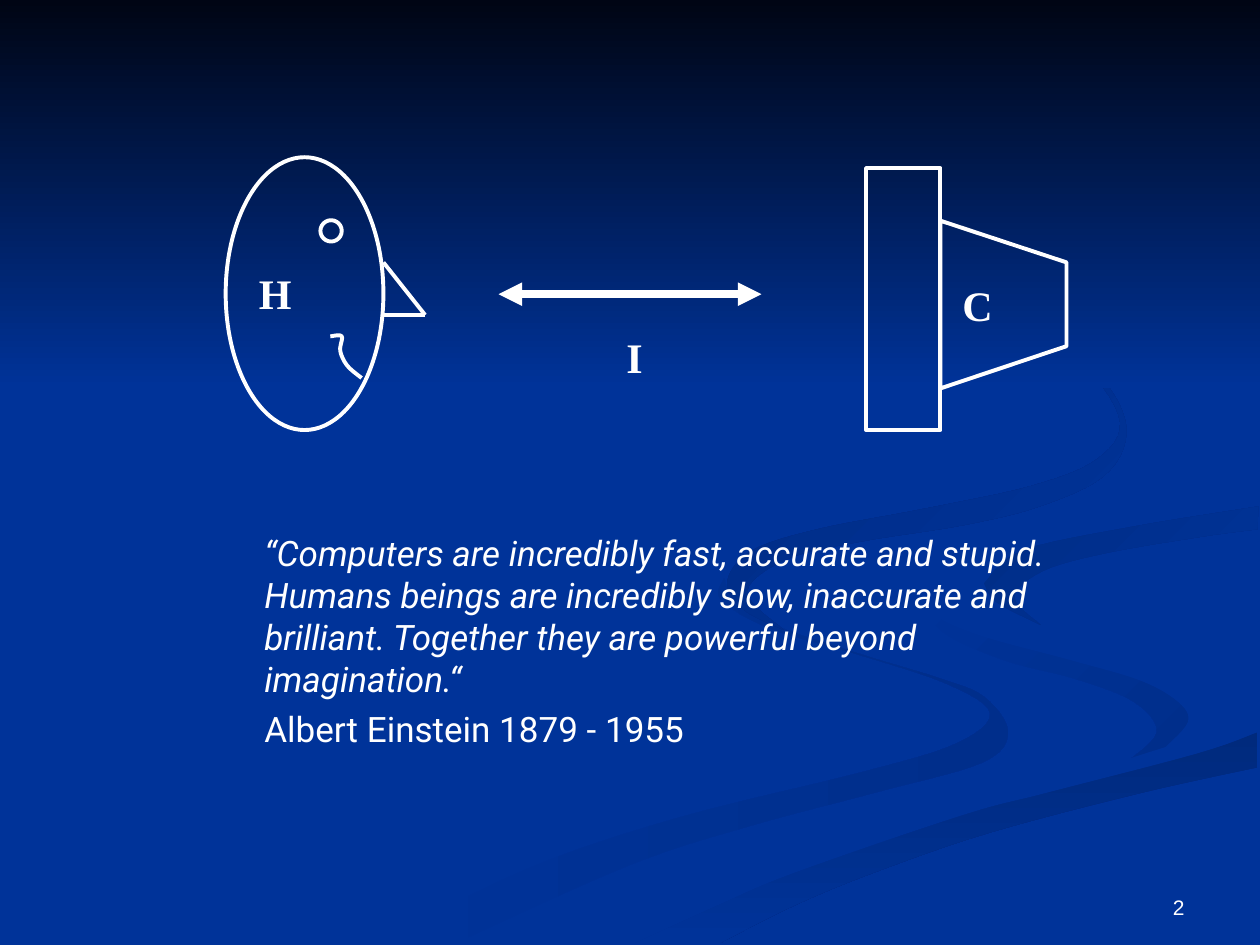
import pptx
import pptx.dml.color
import pptx.enum.shapes
import pptx.enum.text
import pptx.oxml
import pptx.oxml.ns
import pptx.util

Cm, Pt = pptx.util.Cm, pptx.util.Pt
RGB = pptx.dml.color.RGBColor
Shape = pptx.enum.shapes.MSO_SHAPE

WHITE = RGB(0xFF, 0xFF, 0xFF)
BLUE = RGB(0x00, 0x33, 0x99)
NIGHT = RGB(0x00, 0x05, 0x14)
SHADE_LIGHT = RGB(0x00, 0x2E, 0x8B)
SHADE_BAY = RGB(0x00, 0x2D, 0x86)
SHADE_TOP = RGB(0x00, 0x2B, 0x82)
SHADE_DARK = RGB(0x00, 0x2A, 0x7D)
LINE, ARROW_LINE = Pt(2.25), Pt(4.5)
WIDTH, HEIGHT = 25.4, 19.05  # slide size in cm; all positions below are in cm

# Edges of the ribbons: a smooth curve runs through each list of anchors
SWIRL_OUTER = [(14.6, 11.66), (14.81, 12.12), (15.6, 12.6), (17.32, 13.18), (18.92, 13.67),
               (19.84, 14.05), (20.32, 14.76), (19.81, 15.37), (17.75, 15.95),
               (15.09, 16.66), (12.67, 17.45), (9.17, 19.02)]
SWIRL_INNER = [(14.6, 11.66), (14.53, 12.09), (15.52, 12.67), (17.25, 13.18), (19.1, 13.79),
               (19.96, 14.38), (19.28, 14.99), (17.37, 15.57), (13.69, 16.48),
               (10.59, 17.53), (7.62, 19.02)]
BEND_OUTER = [(18.39, 11.79), (18.62, 12.27), (19.66, 12.78), (21.59, 13.31), (22.99, 13.72),
              (23.75, 14.15), (23.95, 14.55), (23.5, 15.06), (22.71, 15.37)]
BEND_INNER = [(18.39, 11.79), (18.95, 12.7), (20.24, 13.31), (21.69, 13.69),
              (22.86, 14.15), (23.32, 14.76), (22.71, 15.37)]
STREAM_UPPER = [(25.35, 14.76), (24.13, 15.19), (21.11, 15.98), (19.41, 16.43),
                (16, 17.6), (14.45, 18.26), (12.78, 19.02)]
STREAM_LOWER = [(25.35, 15.47), (22.94, 16), (19.94, 16.79), (17.65, 17.58),
                (16, 18.26), (14.5, 19.02)]
BAY_OUTER = [(25.37, 9.83), (23.37, 10.19), (21.08, 10.54), (19.18, 10.97), (18.39, 11.79)]
BAY_INNER = [(25.37, 10.21), (22.83, 10.62), (20.6, 11.1), (19.84, 11.76),
             (20.42, 12.32), (22, 12.93), (23.9, 13.39), (25.37, 13.67)]
BAY_TAIL = [(23.5, 15.06), (21.41, 15.7), (18.87, 16.33), (15.72, 17.37), (12.12, 19.02)]
WAVE_TIP = [(19.84, 11.76), (20.09, 12.14), (20.98, 12.6)]
WAVE_INNER = [(20.98, 12.6), (20.45, 12.04), (21.03, 11.51), (22.3, 11.15),
              (24.23, 10.82), (25.35, 10.67)]
HOOK_OUTER = [(19.35, 5.92), (20.29, 6.35), (21.41, 6.99), (22.35, 7.8), (22.71, 8.74),
              (22.25, 9.6), (20.96, 10.21), (19.41, 10.59), (17.35, 10.92),
              (15.85, 11.28), (15.06, 11.94), (15.8, 12.7)]
HOOK_INNER = [(19.35, 5.92), (20.45, 6.45), (21.89, 7.42), (22.58, 8.51), (22.1, 9.27),
              (20.78, 9.8), (18.62, 10.26), (16.48, 10.67), (15.16, 11.1),
              (14.66, 11.73), (14.99, 12.29), (15.8, 12.7)]
# Ribbons from back to front: edges in turn, first and last colour, clockwise angle
RIBBONS = [
    ([SWIRL_OUTER, SWIRL_INNER[::-1]], BLUE, SHADE_LIGHT, 0),
    ([BEND_OUTER, BEND_INNER[::-1]], BLUE, SHADE_LIGHT, 45),
    ([STREAM_UPPER, STREAM_LOWER[::-1]], SHADE_DARK, BLUE, 90),
    ([BAY_OUTER, BEND_OUTER[:-1], BAY_TAIL, STREAM_UPPER[::-1], BAY_INNER[::-1]],
     BLUE, BLUE, 0),
    ([BAY_INNER[:4], WAVE_TIP, WAVE_INNER], SHADE_BAY, BLUE, 45),
    ([HOOK_OUTER, HOOK_INNER[::-1]], SHADE_TOP, BLUE, 45),
]
MOUTH = [(2.74, 4.45), (2.45, 4.2), (2.31, 3.9), (2.34, 3.61), (2.11, 3.61)]
QUOTE = ("“Computers are incredibly fast, accurate and stupid. Humans beings are incredibly "
         "slow, inaccurate and brilliant. Together they are powerful beyond imagination.“")


def smooth(anchors, steps=6):
    """Return points on a Catmull-Rom curve through the anchors."""
    padded = [anchors[0], *anchors, anchors[-1]]
    curve = [anchors[0]]
    for a, b, c, d in zip(padded, padded[1:], padded[2:], padded[3:]):
        for i in range(1, steps + 1):
            t = i / steps
            curve.append(tuple(
                q + t / 2 * (r - p + t * (2 * p - 5 * q + 4 * r - s
                                          + t * (3 * q - p - 3 * r + s)))
                for p, q, r, s in zip(a, b, c, d)))
    return curve


# Shared drawing helpers
def paint(sp, first, last, angle):
    sp.shadow.inherit = False
    sp.line.fill.background()
    if first == last:
        sp.fill.solid()
        sp.fill.fore_color.rgb = first
        return
    sp.fill.gradient()
    sp.fill.gradient_angle = (360 - angle) % 360
    for stop, color in zip(sp.fill.gradient_stops, (first, last)):
        stop.color.rgb = color


def outline(sp):
    sp.shadow.inherit = False
    sp.fill.background()
    sp.line.color.rgb = WHITE
    sp.line.width = LINE


def add_preset(shapes, kind, x, y, w, h):
    return shapes.add_shape(kind, Cm(x), Cm(y), Cm(w), Cm(h))


def add_path(shapes, points, x=0, y=0, close=True):
    pts = [(Cm(x + px), Cm(y + py)) for px, py in points]
    builder = shapes.build_freeform(*pts[0])
    builder.add_line_segments(pts[1:], close=close)
    return builder.convert_to_shape()


def add_line(shapes, x1, y1, x2, y2, width=LINE, arrows=False):
    sp = shapes.add_connector(pptx.enum.shapes.MSO_CONNECTOR.STRAIGHT,
                              Cm(x1), Cm(y1), Cm(x2), Cm(y2))
    sp.line.color.rgb = WHITE
    sp.line.width = width
    ns = pptx.oxml.ns.nsdecls("a")
    for end in ("headEnd", "tailEnd") if arrows else ():
        sp._element.spPr.ln.append(pptx.oxml.parse_xml(f'<a:{end} {ns} type="triangle"/>'))
    sp._element.spPr.append(pptx.oxml.parse_xml(f"<a:effectLst {ns}/>"))


def add_text(shapes, x, y, w, h, lines, font, size, bold=False):
    tf = shapes.add_textbox(Cm(x), Cm(y), Cm(w), Cm(h)).text_frame
    tf.word_wrap = True
    tf.text = "\n".join(lines)
    for p in tf.paragraphs:
        p.font.name, p.font.size, p.font.bold = font, Pt(size), bold
        p.font.color.rgb = WHITE
    return tf


def add_label(shapes, x, y, letter):
    add_text(shapes, x, y, 1.27, 1.27, [letter], "Times New Roman", 24, bold=True)


# Regions of the slide
def draw_background(slide):
    slide.background.fill.solid()
    slide.background.fill.fore_color.rgb = BLUE
    for edges, first, last, angle in RIBBONS:
        points = [pt for edge in edges for pt in smooth(edge)]
        paint(add_path(slide.shapes, points), first, last, angle)
    sky = add_preset(slide.shapes, Shape.RECTANGLE, 0, 0, WIDTH, 7.82)
    paint(sky, NIGHT, BLUE, 90)


def draw_human(shapes, x, y, w, h):
    outline(add_preset(shapes, Shape.OVAL, x, y, w, h))
    nose_tip = (x + w + 0.84, y + 3.18)
    add_line(shapes, x + w, y + 2.12, *nose_tip)
    add_line(shapes, *nose_tip, x + w, y + 3.18)
    outline(add_path(shapes, smooth(MOUTH), x, y, close=False))
    outline(add_preset(shapes, Shape.OVAL, x + 1.91, y + 1.27, 0.43, 0.43))
    add_label(shapes, x + 0.42, y + 2.1, "H")


def draw_interaction(shapes, x, y, w):
    add_line(shapes, x, y, x + w, y, ARROW_LINE, arrows=True)
    add_label(shapes, x + 2.33, y + 0.63, "I")


def draw_computer(shapes, x, y, w, h):
    outline(add_preset(shapes, Shape.RECTANGLE, x, y, w, h))
    depth = w + 2.54
    back = [(w, 4.44), (depth, 3.59), (depth, 1.9), (w, 1.06)]
    outline(add_path(shapes, back, x, y))
    add_label(shapes, x + 1.69, y + 2.12, "C")


def draw_quote(shapes, x, y, w, h):
    tf = add_text(shapes, x, y, w, h, [QUOTE, "Albert Einstein 1879 - 1955"], "Roboto", 20)
    tf.paragraphs[0].font.italic = True
    for p in tf.paragraphs:
        p.space_before = Pt(5)


def draw_number(shapes, x, y, w, h):
    tf = add_text(shapes, x, y, w, h, ["2"], "Arial", 12)
    tf.vertical_anchor = pptx.enum.text.MSO_ANCHOR.BOTTOM
    tf.paragraphs[0].alignment = pptx.enum.text.PP_ALIGN.RIGHT


prs = pptx.Presentation()
prs.slide_width, prs.slide_height = Cm(WIDTH), Cm(HEIGHT)
slide = prs.slides.add_slide(prs.slide_layouts[6])

draw_background(slide)
draw_number(slide.shapes, 18.2, 17.35, 5.93, 1.32)
draw_interaction(slide.shapes, 10.05, 5.93, 5.3)
draw_human(slide.shapes, 4.55, 3.17, 3.18, 5.5)
draw_computer(slide.shapes, 17.46, 3.39, 1.5, 5.28)
draw_quote(slide.shapes, 5.08, 10.58, 16.51, 5.97)

prs.save("out.pptx")
